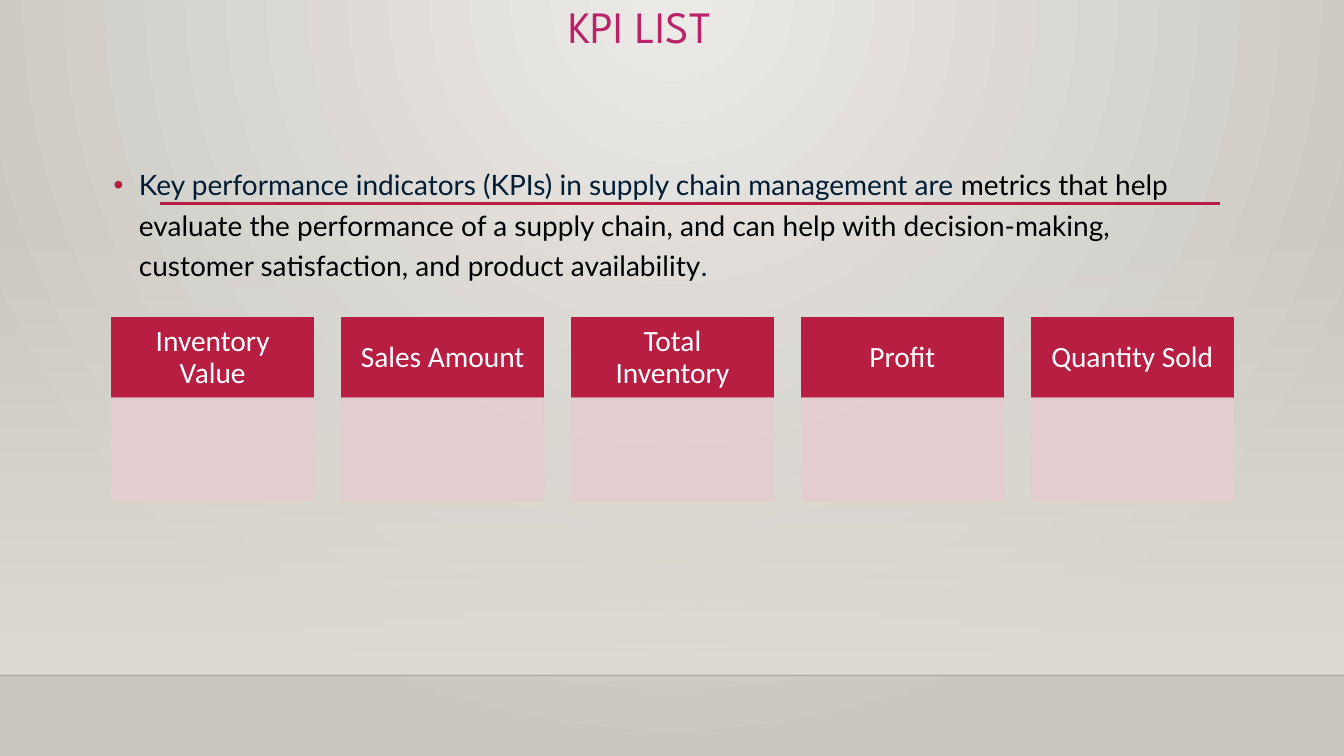
from lxml import etree
from pptx import Presentation, util as u
from pptx.dml.color import RGBColor
from pptx.enum import shapes, text
from pptx.oxml.ns import qn

COLORS = {
    "crimson": "B71E42", "magenta": "BA2169", "blush": "E6CDCF", "white": "FFFFFF",
    "navy": "001D35", "black": "000000", "edge": "000001",
    "light": "ECEAE7", "dark": "CAC7C1", "floor": "DFDBD5",
}
KPIS = ["Inventory Value", "Sales Amount", "Total Inventory", "Profit", "Quantity Sold"]
DEFINITION = [
    ("Key performance indicators (KPIs) in supply chain management are ", "navy"),
    ("metrics that help evaluate the performance of a supply chain, and can help with "
     "decision-making, customer satisfaction, and product availability", "black"),
    (".", "navy"),
]
WIDTH, HEIGHT = 13.33, 7.5
FLOOR_TOP, FLOOR_BOTTOM = 2.21, 6.7


def color(name):
    """Return the named colour."""
    return RGBColor.from_string(COLORS[name])


def inches(*lengths):
    """Convert lengths in inches to slide units."""
    return [u.Inches(length) for length in lengths]


def set_alpha(element, percent):
    """Set the opacity of a colour found inside the element."""
    tint = next(element.iter(qn("a:srgbClr")))
    etree.SubElement(tint, qn("a:alpha"), val=str(percent * 1000))


def set_gradient(fill, *names):
    """Fill with a two-stop gradient of named colours."""
    fill.gradient()
    for position, (stop, name) in enumerate(zip(fill.gradient_stops, names)):
        stop.color.rgb = color(name)
        stop.position = position


def add_rectangle(page, box, name):
    """Add a rectangle whose fill and outline share one colour."""
    panel = page.shapes.add_shape(shapes.MSO_SHAPE.RECTANGLE, *inches(*box))
    panel.shadow.inherit = False
    panel.fill.solid()
    panel.fill.fore_color.rgb = color(name)
    panel.line.color.rgb = color(name)
    panel.line.width = u.Pt(1.25)
    return panel


def add_rule(page, left, right, top, name, points):
    """Draw a horizontal rule."""
    rule = page.shapes.add_connector(
        shapes.MSO_CONNECTOR.STRAIGHT, *inches(left, top, right, top))
    rule.line.color.rgb = color(name)
    rule.line.width = u.Pt(points)
    etree.SubElement(rule.element.spPr, qn("a:effectLst"))
    return rule


def add_backdrop(page):
    """Paint the radial background, the fading floor and its edge."""
    set_gradient(page.background.fill, "light", "dark")
    gradient = next(page.element.iter(qn("a:gradFill")))
    gradient.remove(gradient.find(qn("a:lin")))
    focus = etree.SubElement(gradient, qn("a:path"))
    focus.set("path", "circle")
    etree.SubElement(focus, qn("a:fillToRect"), l="43000", t="0", r="43000", b="100000")

    floor = add_rectangle(page, (0, FLOOR_TOP, WIDTH, FLOOR_BOTTOM - FLOOR_TOP), "floor")
    set_gradient(floor.fill, "floor", "floor")
    floor.fill.gradient_angle = 270
    set_alpha(floor.element.spPr, 0)
    floor.line.fill.background()
    edge = add_rule(page, 0, WIDTH, FLOOR_BOTTOM, "edge", 1)
    set_alpha(edge.element.spPr, 20)


def add_title(page, box):
    """Place the slide title."""
    title = page.shapes.title
    title.left, title.top, title.width, title.height = inches(*box)
    frame = title.text_frame
    frame.text = "KPI LIST"
    frame.auto_size = text.MSO_AUTO_SIZE.NONE
    frame.vertical_anchor = text.MSO_ANCHOR.TOP
    para = frame.paragraphs[0]
    para.alignment = text.PP_ALIGN.CENTER
    para.line_spacing = 0.9
    para.font.name, para.font.size = "League Spartan", u.Pt(32)
    para.font.color.rgb = color("magenta")


def add_cards(page, box):
    """Lay out one header and one panel per KPI in equal columns."""
    left, top, width, height = box
    card_width, header_height = 2, 0.8
    step = (width - card_width) / (len(KPIS) - 1)
    for column, label in enumerate(KPIS):
        x = left + column * step
        header = add_rectangle(page, (x, top, card_width, header_height), "crimson")
        frame = header.text_frame
        frame.text = label
        frame.word_wrap = True
        frame.vertical_anchor = text.MSO_ANCHOR.MIDDLE
        frame.margin_left = frame.margin_right = u.Inches(0.16)
        frame.margin_top = frame.margin_bottom = u.Inches(0.09)
        para = frame.paragraphs[0]
        para.alignment = text.PP_ALIGN.CENTER
        para.line_spacing = 0.9
        para.font.name, para.font.size = "Calibri", u.Pt(21)
        para.font.color.rgb = color("white")

        panel = add_rectangle(
            page, (x, top + header_height, card_width, height - header_height), "blush")
        for paint in (panel.element.spPr.find(qn("a:solidFill")),
                      panel.element.spPr.find(qn("a:ln"))):
            set_alpha(paint, 90)


def add_definition(page, box):
    """Write the bulleted definition of KPIs."""
    frame = page.shapes.add_textbox(*inches(*box)).text_frame
    frame.word_wrap = True
    para = frame.paragraphs[0]
    para.line_spacing = 1.2
    para.space_before = u.Pt(10)
    para.font.name, para.font.size = "Lato", u.Pt(20)
    for words, name in DEFINITION:
        span = para.add_run()
        span.text = words
        span.font.color.rgb = color(name)

    layout = next(frame.paragraphs[0]._p.iter(qn("a:pPr")))
    indent = u.Inches(0.25)
    layout.set("marL", str(indent))
    layout.set("indent", str(-indent))
    bullet_color = etree.Element(qn("a:buClr"))
    etree.SubElement(bullet_color, qn("a:srgbClr"), val=COLORS["crimson"])
    bullet_font = etree.Element(qn("a:buFont"), typeface="Arial")
    bullet = etree.Element(qn("a:buChar"), char="•")
    defaults = layout.find(qn("a:defRPr"))
    for part in (bullet_color, bullet_font, bullet):
        defaults.addprevious(part)


def main():
    """Build the KPI slide and save it."""
    deck = Presentation()
    deck.slide_width, deck.slide_height = inches(WIDTH, HEIGHT)
    page = deck.slides.add_slide(deck.slide_layouts[5])
    add_backdrop(page)
    add_rule(page, 1.59, 12.1, 2.02, "crimson", 2.5)
    add_title(page, (1.1, 0, 10.5, 1.16))
    add_cards(page, (1.11, 3.15, 11.12, 1.81))
    add_definition(page, (1.03, 1.55, 11.13, 2.99))
    deck.save("out.pptx")


if __name__ == "__main__":
    main()
